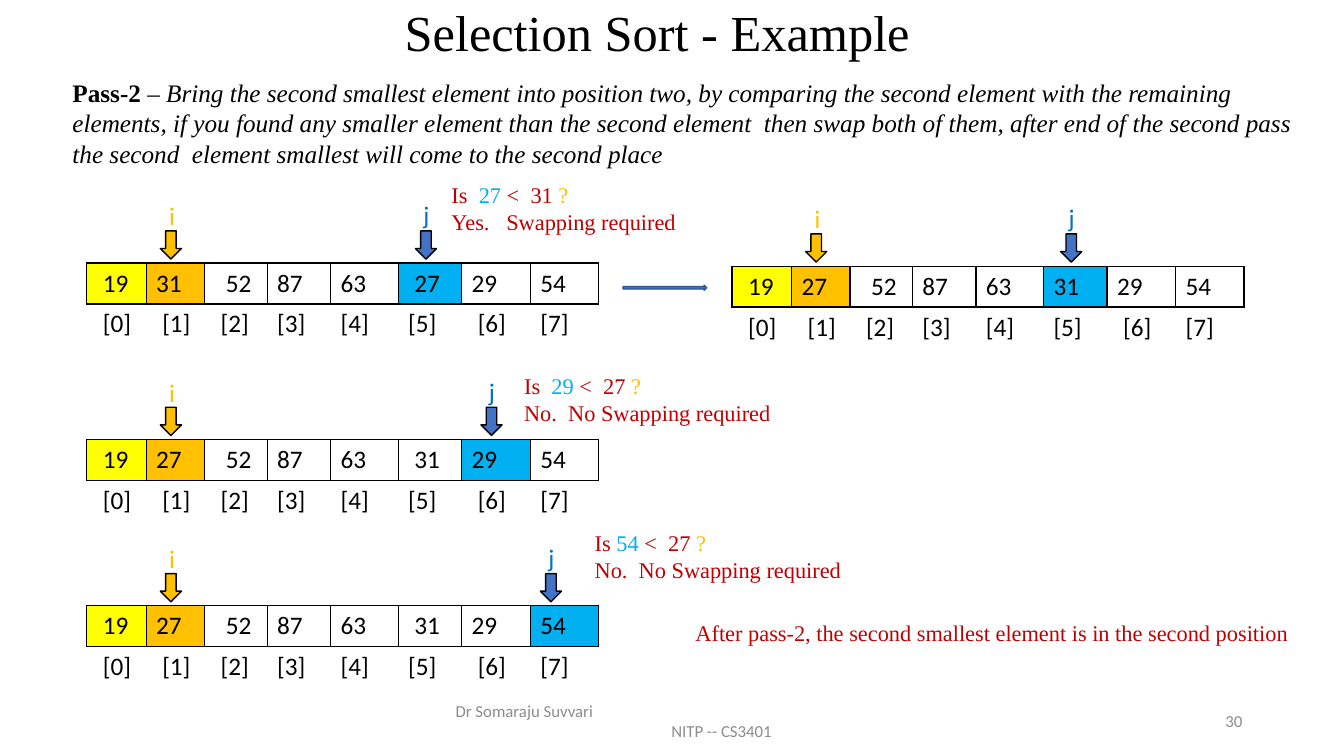
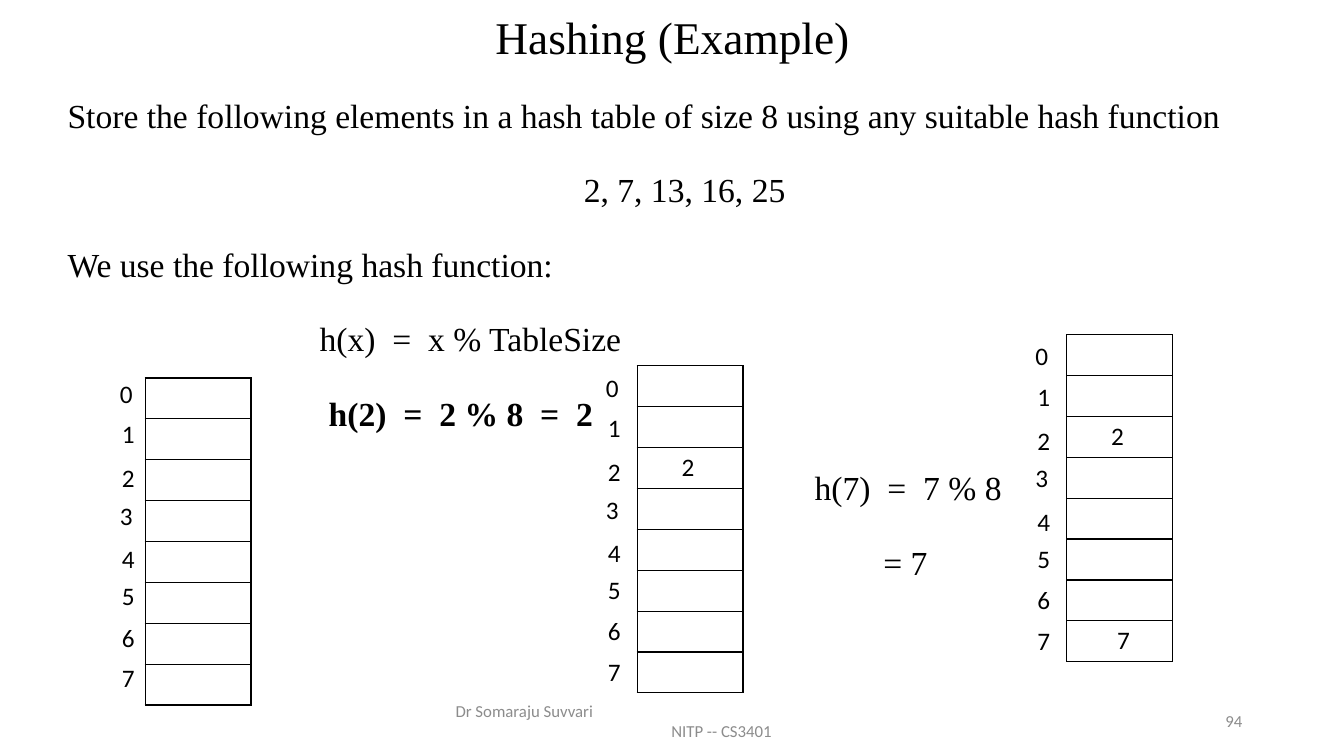
from lxml import etree
from pptx import Presentation
from pptx.dml.color import RGBColor
from pptx.enum.shapes import MSO_SHAPE
from pptx.enum.text import MSO_ANCHOR, MSO_AUTO_SIZE, PP_ALIGN
from pptx.oxml.ns import qn
from pptx.util import Pt

PX = 9144
DOWN, RIGHT_ARROW = MSO_SHAPE.DOWN_ARROW, MSO_SHAPE.RIGHT_ARROW
TOP, MIDDLE = MSO_ANCHOR.TOP, MSO_ANCHOR.MIDDLE
NO_FIT = MSO_AUTO_SIZE.NONE
LEFT, CENTER, RIGHT, JUSTIFY = PP_ALIGN.LEFT, PP_ALIGN.CENTER, PP_ALIGN.RIGHT, PP_ALIGN.JUSTIFY
PLAIN_TABLE = "{2D5ABB26-0587-4C30-8999-92F81FD0307C}"
SERIF, SANS = "Times New Roman", "Calibri"

THEME = {
    "black": "000000", "white": "FFFFFF", "sorted": "FFFF00", "i": "FFC000",
    "compared": "00B0F0", "j": "0070C0", "arrow": "4472C4", "arrow_edge": "325491",
    "note": "C00000", "footer": "8C8C8C",
    "title_font": {"name": SERIF, "size": Pt(36), "color": "black"},
    "small_title_font": {"name": SERIF, "size": Pt(32.4), "color": "black"},
    "body_font": {"name": SERIF, "size": Pt(24), "color": "black"},
    "intro_font": {"name": SERIF, "size": Pt(18), "color": "black"},
    "note_font": {"name": SERIF, "size": Pt(16), "color": "note"},
    "cell_font": {"name": SANS, "size": Pt(18), "color": "black"},
    "footer_font": {"name": SANS, "size": Pt(12), "color": "footer"},
}


def add_text(shape, box, lines, font, anchor=TOP, **spacing):
    for side, length in zip(("left", "top", "width", "height"), box):
        setattr(shape, side, length * PX)
    frame = shape.text_frame
    frame.word_wrap, frame.auto_size, frame.vertical_anchor = True, NO_FIT, anchor
    for number, (runs, align, indent) in enumerate(lines):
        paragraph = frame.add_paragraph() if number else frame.paragraphs[0]
        properties = paragraph._p.get_or_add_pPr()
        properties.set("marL", str(indent * PX))
        properties.set("indent", "0")
        etree.SubElement(properties, qn("a:buNone"))
        paragraph.alignment = align
        for key, value in spacing.items():
            setattr(paragraph, key, value)
        if not number:
            paragraph.space_before = Pt(0)
        for words, changes in runs:
            run = paragraph.add_run()
            run.text = words
            for key, value in {**font, **changes}.items():
                if key == "color":
                    run.font.color.rgb = RGBColor.from_string(THEME[value])
                else:
                    setattr(run.font, key, value)


def add_grid(slide, box, widths, rows, bordered_rows):
    table = slide.shapes.add_table(len(rows), len(widths), *(v * PX for v in box)).table
    table.first_row = table.horz_banding = False
    table._tbl.tblPr.find(qn("a:tableStyleId")).text = PLAIN_TABLE
    for column, width in zip(table.columns, widths):
        column.width = width * PX
    for r, row in enumerate(rows):
        for c, (words, indent, fill) in enumerate(row):
            cell = table.cell(r, c)
            paragraph = cell.text_frame.paragraphs[0]
            paragraph.text = words
            paragraph._p.get_or_add_pPr().set("marL", str(indent * PX))
            paragraph.font.size = THEME["cell_font"]["size"]
            for run in paragraph.runs:
                run.font.name = THEME["cell_font"]["name"]
                run.font.size = THEME["cell_font"]["size"]
                run.font.color.rgb = RGBColor.from_string(THEME["black"])
            if r < bordered_rows:
                for edge in ("a:lnL", "a:lnR", "a:lnT", "a:lnB"):
                    border = etree.SubElement(cell._tc.get_or_add_tcPr(), qn(edge), w=str(Pt(1)))
                    paint = etree.SubElement(border, qn("a:solidFill"))
                    etree.SubElement(paint, qn("a:srgbClr"), val=THEME["black"])
            if fill:
                cell.fill.solid()
                cell.fill.fore_color.rgb = RGBColor.from_string(THEME[fill])
            else:
                cell.fill.background()


prs = Presentation()
prs.slide_width, prs.slide_height = 1333 * PX, 750 * PX
sorting = prs.slides.add_slide(prs.slide_layouts[5])
hashing = prs.slides.add_slide(prs.slide_layouts[1])

for slide, heading, box, font, page in (
    (sorting, "Selection Sort - Example", (215, 10, 874, 50), "title_font", "30"),
    (hashing, "Hashing (Example)", (92, 10, 1150, 59), "small_title_font", "94"),
):
    add_text(slide.shapes.title, box, [([(heading, {})], CENTER, 0)], THEME[font],
             MIDDLE, line_spacing=0.9)
    credits = [([("Dr Somaraju Suvvari", {})], LEFT, 0), ([("NITP -- CS3401", {})], LEFT, 214)]
    add_text(slide.shapes.add_textbox(0, 0, 0, 0), (442, 695, 450, 40), credits,
             THEME["footer_font"], MIDDLE)
    add_text(slide.shapes.add_textbox(0, 0, 0, 0), (942, 695, 300, 40),
             [([(page, {})], RIGHT, 0)], THEME["footer_font"], MIDDLE)

intro = [
    ("Pass-2 ", {"bold": True}),
    ("– ", {}),
    ("Bring the second smallest element into position two, by comparing the second element "
     "with the remaining elements, if you found any smaller element than the second element  "
     "then swap both of them, after end of the second pass the second  element smallest will "
     "come to the second place", {"italic": True}),
]
add_text(sorting.shapes.add_textbox(0, 0, 0, 0), (62, 72, 1258, 101),
         [(intro, LEFT, 0)], THEME["intro_font"])

ARRAY_COLUMNS = (59, 58, 62, 63, 67, 63, 68, 68)
VALUE_INDENTS = (6, 0, 11, 0, 0, 6, 0, 0)
INDEX_INDENTS = (6, 6, 6, 0, 0, 0, 6, 0)
indexes = [(f"[{n}]", indent, None) for n, indent in enumerate(INDEX_INDENTS)]
for left, top, values, compared, j_offset in (
    (86, 261, (19, 31, 52, 87, 63, 27, 29, 54), 5, 326),
    (726, 264, (19, 27, 52, 87, 63, 31, 29, 54), 5, 326),
    (86, 436, (19, 27, 52, 87, 63, 31, 29, 54), 6, 391),
    (86, 601, (19, 27, 52, 87, 63, 31, 29, 54), 7, 450),
):
    fills = {0: "sorted", 1: "i", compared: "compared"}
    swapped = left > 86
    elements = [(str(value), 0 if swapped and n == compared else indent, fills.get(n, "white"))
                for n, (value, indent) in enumerate(zip(values, VALUE_INDENTS))]
    add_grid(sorting, (left, top, sum(ARRAY_COLUMNS), 81), ARRAY_COLUMNS, [elements, indexes], 1)
    for pointer, offset, shift, rise, fill in (("i", 73, 1, 67, "i"),
                                               ("j", j_offset, 2, 68, "arrow")):
        marker = sorting.shapes.add_shape(
            DOWN, *(v * PX for v in (left + offset, top - 32, 21, 28)))
        marker.shadow.inherit = False
        marker.fill.solid()
        marker.fill.fore_color.rgb = RGBColor.from_string(THEME[fill])
        marker.line.color.rgb = RGBColor.from_string(THEME["black"])
        marker.line.width = Pt(1)
        add_text(sorting.shapes.add_textbox(0, 0, 0, 0),
                 (left + offset - shift, top - rise, 31, 40),
                 [([(pointer, {"color": pointer})], LEFT, 0)], THEME["cell_font"])

swap_arrow = sorting.shapes.add_shape(RIGHT_ARROW, *(v * PX for v in (618, 283, 83, 5)))
swap_arrow.shadow.inherit = False
swap_arrow.fill.solid()
swap_arrow.fill.fore_color.rgb = RGBColor.from_string(THEME["arrow"])
swap_arrow.line.color.rgb = RGBColor.from_string(THEME["arrow_edge"])
swap_arrow.line.width = Pt(1)

for left, top, candidate, current, answer in (
    (438, 175, "  27 ", "<  31 ", "Yes.   Swapping required"),
    (510, 364, "  29 ", "<  27 ", "No.  No Swapping required"),
    (580, 520, " 54 ", "<  27 ", "No.  No Swapping required"),
):
    question = [("Is", {}), (candidate, {"color": "compared"}), (current, {}), ("?", {"color": "i"})]
    add_text(sorting.shapes.add_textbox(0, 0, 0, 0), (left, top, 303, 64),
             [(question, LEFT, 0), ([(answer, {})], LEFT, 0)], THEME["note_font"])
conclusion = "After pass-2, the second smallest element is in the second position"
add_text(sorting.shapes.add_textbox(0, 0, 0, 0), (680, 609, 640, 37),
         [([(conclusion, {})], LEFT, 0)], THEME["note_font"])

task = "Store the following elements in a hash table of size 8 using any suitable hash function"
steps = [
    ([(task, {})], JUSTIFY, 0),
    ([("2, 7, 13, 16, 25", {})], CENTER, 0),
    ([("We use the following hash function:", {})], LEFT, 0),
    ([("h(x)  =  x % TableSize", {})], JUSTIFY, 250),
    ([("h(2)  =  2 % 8  =  2", {"bold": True})], JUSTIFY, 259),
    ([("h(7)  =  7 % 8", {})], JUSTIFY, 741),
    ([("= 7", {})], JUSTIFY, 809),
]
add_text(hashing.placeholders[1], (57, 69, 1244, 626), steps, THEME["body_font"],
         line_spacing=1.5, space_before=Pt(10))

SLOT_OFFSETS = ((0, 0), (2, 40), (2, 84), (0, 121), (2, 164), (2, 201), (2, 242), (2, 282))
STORED_INDENTS = {2: 34, 7: 40}
for left, top, label_left, label_top, stored in (
    (144, 375, 109, 370, ()),
    (632, 363, 591, 364, (2,)),
    (1058, 332, 1017, 333, (2, 7)),
):
    slots = [[(str(n) if n in stored else "", STORED_INDENTS.get(n, 0), None)]
             for n in range(len(SLOT_OFFSETS))]
    add_grid(hashing, (left, top, 105, 324), (105,), slots, len(slots))
    for n, (across, down) in enumerate(SLOT_OFFSETS):
        add_text(hashing.shapes.add_textbox(0, 0, 0, 0),
                 (label_left + across, label_top + down, 41, 40),
                 [([(str(n), {})], LEFT, 0)], THEME["cell_font"])

prs.save("out.pptx")
